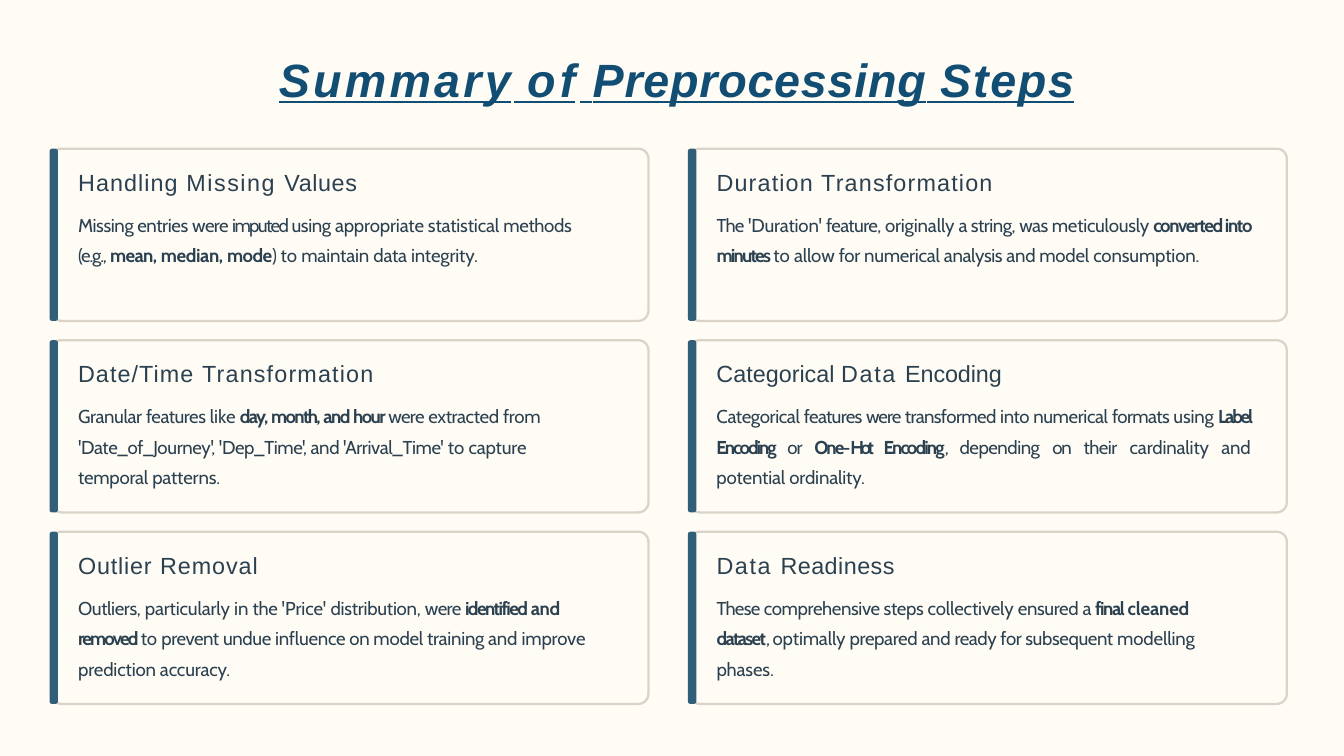
from pptx import Presentation
from pptx.dml.color import RGBColor
from pptx.enum.shapes import MSO_SHAPE
from pptx.enum.text import MSO_ANCHOR, MSO_AUTO_SIZE, PP_ALIGN
from pptx.util import Inches, Pt

ROUNDED = MSO_SHAPE.ROUNDED_RECTANGLE
TOP = MSO_ANCHOR.TOP
NO_FIT = MSO_AUTO_SIZE.NONE
GROW = MSO_AUTO_SIZE.SHAPE_TO_FIT_TEXT
LEFT, JUSTIFY = PP_ALIGN.LEFT, PP_ALIGN.JUSTIFY

CREAM = RGBColor(0xFF, 0xFB, 0xF5)
NAVY = RGBColor(0x12, 0x4E, 0x73)
SLATE = RGBColor(0x2B, 0x41, 0x50)
TEAL = RGBColor(0x31, 0x5F, 0x7A)
SAND = RGBColor(0xD9, 0xD3, 0xC8)

CARD_LEFT, CARD_TOP = 0.61, 1.77
CARD_WIDTH, CARD_HEIGHT = 7.11, 2.05
COLUMN_PITCH, ROW_PITCH = 7.6, 2.28
BOLD = True

TITLE = [("Summary", 2.8), (" ", -0.5), ("of", 3.6), (" ", -0.6),
         ("Preprocessing", 0.7), (" ", -1.1), ("Steps", 1.5)]

CARDS = [
    (6.12, LEFT,
     [("Handling ", 0.9), ("Missing ", 1.3), ("Values", 0.5)],
     [("Missing entries ", -0.3), ("were ", -0.5), ("imputed ", -1.4),
      ("using ", -0.3), ("appropriate statistical ", -0.1), ("methods ", -0.3),
      ("(e.g., ", -1), ("mean, ", -0.5, BOLD), ("median, ", -0.3, BOLD),
      ("mode", -0.5, BOLD), (") ", -0.5), ("to ", 0), ("maintain ", -0.1),
      ("data ", -0.2), ("integrity.", -0.1)]),
    (6.49, LEFT,
     [("Duration Transformation", 1)],
     [("The ", -0.6), ("'Duration' ", -0.1), ("feature, ", -0.5),
      ("originally ", -0.1), ("a string, ", -0.4), ("was ", -0.5),
      ("meticulously ", -0.2), ("converted into ", -1.1, BOLD),
      ("minutes ", -1.5, BOLD), ("to ", 0), ("allow ", -0.1), ("for ", -0.3),
      ("numerical ", -0.2), ("analysis ", -0.3), ("and model ", -0.2),
      ("consumption.", -0.1)]),
    (6, LEFT,
     [("Date/Time ", 0.9), ("Transformation", 1)],
     [("Granular ", -0.3), ("features ", -0.4), ("like ", 0),
      ("day, ", -1.3, BOLD), ("month, ", -1.4, BOLD), ("and ", -1.3, BOLD),
      ("hour ", -1.4, BOLD), ("were ", -0.5), ("extracted ", -0.3),
      ("from ", -0.2),
      ("'Date_of_Journey', 'Dep_Time', and 'Arrival_Time' ", -0.3),
      ("to ", 0), ("capture ", -0.1), ("temporal ", -0.2),
      ("patterns.", -0.1)]),
    (6.37, JUSTIFY,
     [("Categorical ", 0), ("Data ", 1.4), ("Encoding", -0.1)],
     [("Categorical ", -0.3), ("features ", -0.6), ("were ", -0.8),
      ("transformed ", -0.5), ("into numerical ", -0.3), ("formats ", -0.5),
      ("using ", -0.1), ("Label ", -1.9, BOLD), ("Encoding ", -1.7, BOLD),
      ("or ", -0.9), ("One-", -1.6, BOLD), ("Hot ", -2.8, BOLD),
      ("Encoding", -1.6, BOLD), (", ", -1.6), ("depending ", -0.4),
      ("on ", -0.9), ("their ", -0.4),
      ("cardinality and potential ordinality.", -0.1)]),
    (6.33, LEFT,
     [("Outlier ", 0.7), ("Removal", 0.8)],
     [("Outliers, ", -0.3), ("particularly ", -0.1), ("in ", 0),
      ("the ", -0.3), ("'Price' ", 0), ("distribution, ", -0.2),
      ("were ", -0.5), ("identified ", -1.3, BOLD), ("and ", -0.3, BOLD),
      ("removed ", -1.6, BOLD), ("to ", 0), ("prevent ", -0.4),
      ("undue ", -0.3), ("influence on model training and ", -0.2),
      ("improve prediction accuracy.", -0.1)]),
    (6.02, LEFT,
     [("Data ", 1.4), ("Readiness", 0.4)],
     [("These ", -0.6), ("comprehensive steps ", -0.3),
      ("collectively ", -0.1), ("ensured ", -0.3), ("a ", -0.4),
      ("final ", -1.2, BOLD), ("cleaned ", -0.1, BOLD),
      ("dataset", -1.4, BOLD), (", ", -1.4), ("optimally ", -0.1),
      ("prepared ", -0.3), ("and ", -0.2), ("ready ", -0.4),
      ("for subsequent ", -0.3), ("modelling phases.", -0.1)]),
]


class SummarySlide:
    """Draws the title and the step cards on one slide."""

    def __init__(self, presentation):
        self.slide = presentation.slides.add_slide(presentation.slide_layouts[5])
        self.slide.background.fill.solid()
        self.slide.background.fill.fore_color.rgb = CREAM

    def frame(self, shape, top_inset, fit):
        frame = shape.text_frame
        frame.margin_left = frame.margin_right = frame.margin_bottom = 0
        frame.margin_top = Inches(top_inset)
        frame.vertical_anchor = TOP
        frame.word_wrap = True
        frame.auto_size = fit
        return frame

    def fill_paragraph(self, paragraph, runs, font, size, color, before,
                       indent=0.01, alignment=LEFT):
        paragraph.alignment = alignment
        paragraph.space_before = Pt(before)
        paragraph.font.name = font
        paragraph.font.size = Pt(size)
        paragraph.font.color.rgb = color
        properties = paragraph._p.get_or_add_pPr()
        properties.set("marL", str(Inches(indent)))
        properties.set("indent", "0")
        for text, spacing, *bold in runs:
            run = paragraph.add_run()
            run.text = text
            run._r.get_or_add_rPr().set("spc", str(round(spacing * 100)))
            if bold:
                run.font.bold = True

    def title(self, runs):
        shape = self.slide.shapes.title
        shape.left, shape.top = Inches(3.17), Inches(0.46)
        shape.width, shape.height = Inches(12.09), Inches(1.64)
        paragraph = self.frame(shape, 0.14, NO_FIT).paragraphs[0]
        self.fill_paragraph(paragraph, runs, "Arial", 40, NAVY, 1.1, indent=0.15)
        font = paragraph.font
        font.bold = font.italic = font.underline = True

    def block(self, left, top, width, radius, fill, line=None):
        shape = self.slide.shapes.add_shape(
            ROUNDED, Inches(left), Inches(top), Inches(width), Inches(CARD_HEIGHT))
        shape.shadow.inherit = False
        shape.adjustments[0] = radius / min(width, CARD_HEIGHT)
        shape.fill.solid()
        shape.fill.fore_color.rgb = fill
        if line is None:
            shape.line.fill.background()
        else:
            shape.line.color.rgb = line
            shape.line.width = Pt(1.92)

    def card(self, left, top, text_width, alignment, heading, body):
        self.block(left, top, CARD_WIDTH, 0.12, CREAM, SAND)
        self.block(left - 0.02, top, 0.1, 0.03, TEAL)
        box = self.slide.shapes.add_textbox(
            Inches(left + 0.31), Inches(top + 0.22), Inches(text_width), Inches(1.54))
        frame = self.frame(box, 0.01, GROW)
        self.fill_paragraph(frame.paragraphs[0], heading, "Arial", 20, SLATE, 0.9,
                            alignment=alignment)
        paragraph = frame.add_paragraph()
        self.fill_paragraph(paragraph, body, "Cabin", 16, SLATE, 8.1,
                            alignment=alignment)
        paragraph.line_spacing = 1.36


def main():
    presentation = Presentation()
    presentation.slide_width, presentation.slide_height = Inches(16), Inches(9)
    summary = SummarySlide(presentation)
    summary.title(TITLE)
    for index, card in enumerate(CARDS):
        row, column = divmod(index, 2)
        summary.card(CARD_LEFT + column * COLUMN_PITCH,
                     CARD_TOP + row * ROW_PITCH, *card)
    presentation.save("out.pptx")


if __name__ == "__main__":
    main()
